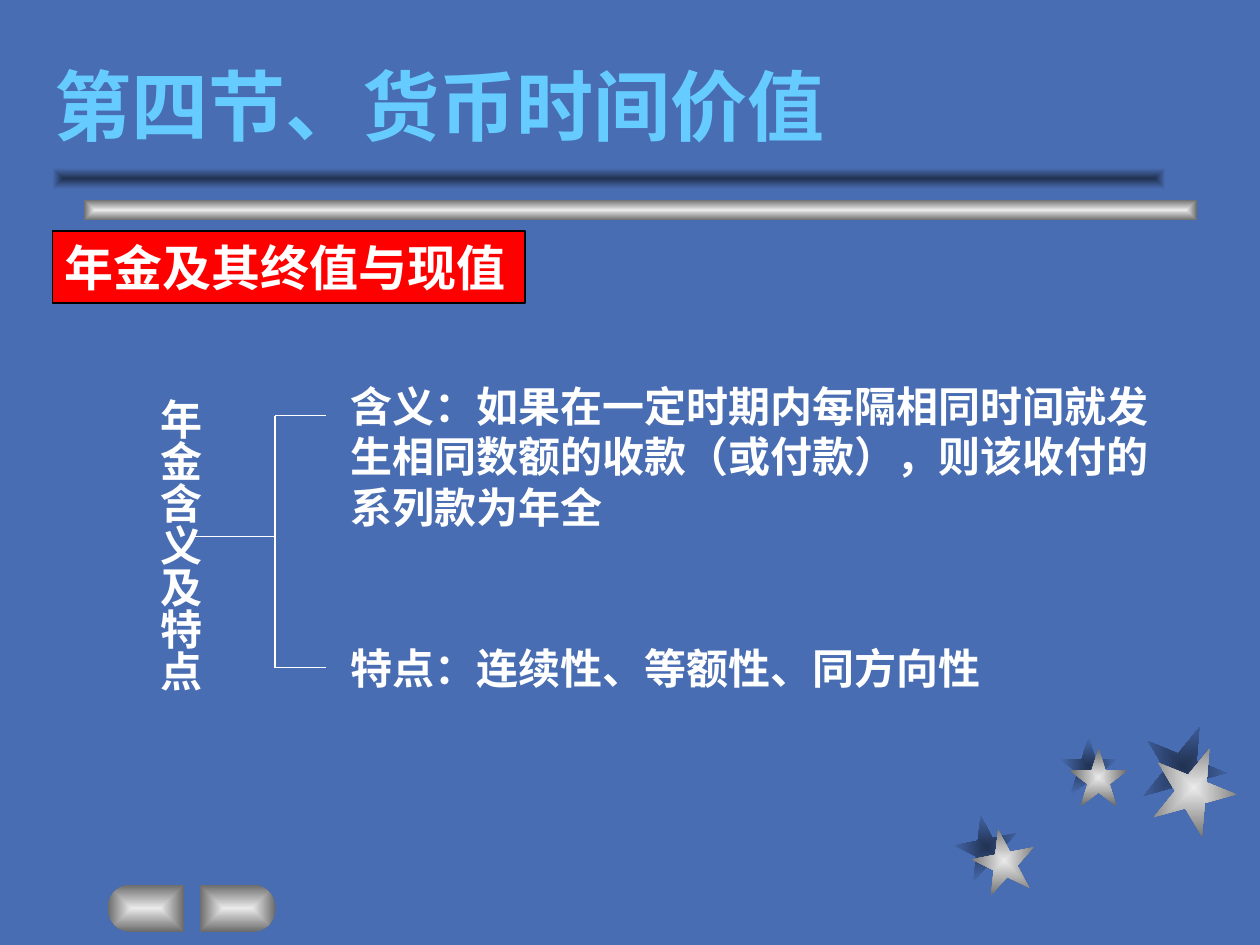
import math
import pptx
import pptx.util
import pptx.oxml
import pptx.oxml.ns
import pptx.dml.color
import pptx.enum.shapes
import pptx.enum.text

Pt = pptx.util.Pt
KIND = pptx.enum.shapes.MSO_SHAPE
ANCHOR = pptx.enum.text.MSO_ANCHOR
LEFT = pptx.enum.text.PP_ALIGN.LEFT
FONT = "Noto Sans CJK SC"
HUES = {"back": "496DB2", "shade": "213252", "light": "EAEAEA", "gray": "6B6B6B",
        "title": "66CCFF", "red": "FF0000", "black": "000000", "white": "FFFFFF"}
METAL = ("light", "gray")
SHADE = ("shade", "back")


def color(name):
    return pptx.dml.color.RGBColor.from_string(HUES[name])


def glow(shape, pair):
    """Fill a shape with a gradient from its centre to its edges."""
    shape.shadow.inherit = False
    shape.line.fill.background()
    shape.fill.background()
    stops = "".join(f'<a:gs pos="{pos}"><a:srgbClr val="{HUES[name]}"/></a:gs>'
                    for pos, name in zip((0, 100000), pair))
    grad = pptx.oxml.parse_xml(
        f'<a:gradFill {pptx.oxml.ns.nsdecls("a")} rotWithShape="1"><a:gsLst>{stops}</a:gsLst>'
        '<a:path path="rect"><a:fillToRect l="50000" t="50000" r="50000" b="50000"/>'
        '</a:path></a:gradFill>')
    props = shape._element.spPr
    props.replace(props.find(pptx.oxml.ns.qn("a:noFill")), grad)


def form(slide, kind, box, pair, turn=0):
    shape = slide.shapes.add_shape(kind, *map(Pt, box))
    shape.rotation = turn
    glow(shape, pair)


def write(shape, text, size, hue="white", wrap=True, anchor=ANCHOR.TOP):
    frame = shape.text_frame
    frame.word_wrap = wrap
    frame.auto_size = pptx.enum.text.MSO_AUTO_SIZE.NONE
    frame.vertical_anchor = anchor
    para = frame.paragraphs[0]
    para.alignment = LEFT
    run = para.add_run()
    run.text = text
    font = run.font
    font.name, font.size, font.bold = FONT, Pt(size), True
    font.color.rgb = color(hue)
    face = pptx.oxml.parse_xml(
        f'<a:ea {pptx.oxml.ns.nsdecls("a")} typeface="{FONT}"/>')
    run._r.get_or_add_rPr().find(pptx.oxml.ns.qn("a:latin")).addnext(face)


def label(slide, box, text, wrap=True):
    shape = slide.shapes.add_textbox(*map(Pt, box))
    write(shape, text, 24, wrap=wrap)
    return shape


def line(slide, ends, width):
    link = slide.shapes.add_connector(
        pptx.enum.shapes.MSO_CONNECTOR.STRAIGHT, *map(Pt, ends))
    link.line.color.rgb = color("white")
    link.line.width = Pt(width)
    link._element.spPr.append(
        pptx.oxml.parse_xml(f'<a:effectLst {pptx.oxml.ns.nsdecls("a")}/>'))


def stars(slide, box):
    left, top = box
    # shadow x, y; face x, y; size; turn
    group = [(0, 51.8, 10, 59.8, 36, 349),
             (59.8, 7.2, 65.5, 13.7, 33, 0),
             (106.6, 0, 112.3, 12.2, 48, 22)]
    for pair, at in ((SHADE, 0), (METAL, 2)):
        for star in group:
            x, y = star[at:at + 2]
            size, turn = star[4:]
            form(slide, KIND.STAR_5_POINT, (left + x, top + y, size, size), pair, turn)


def bars(slide, box):
    left, top, width, height = box
    form(slide, KIND.RECTANGLE, (left + 18, top + 18, width, height), METAL)
    form(slide, KIND.RECTANGLE, box, SHADE)


def button(slide, box, side):
    """Draw a button with one round end; side is -1 for left, 1 for right."""
    left, top, width, height = box
    rad = height / 2
    flat = left if side > 0 else left + width
    hub = flat + side * (width - rad)
    arc = [(hub + side * rad * math.cos(math.radians(deg)),
            top + rad + rad * math.sin(math.radians(deg)))
           for deg in range(-90, 91, 10)]
    pen = slide.shapes.build_freeform(Pt(flat), Pt(top))
    pen.add_line_segments([(Pt(x), Pt(y)) for x, y in arc + [(flat, top + height)]])
    glow(pen.convert_to_shape(), METAL)


def title(slide, box):
    shape = slide.shapes.title
    shape.left, shape.top, shape.width, shape.height = map(Pt, box)
    write(shape, "第四节、货币时间价值", 44, "title", anchor=ANCHOR.BOTTOM)


def banner(slide, box):
    shape = slide.shapes.add_shape(KIND.RECTANGLE, *map(Pt, box))
    shape.shadow.inherit = False
    shape.fill.solid()
    shape.fill.fore_color.rgb = color("red")
    shape.line.color.rgb = color("black")
    shape.line.width = Pt(1)
    write(shape, "年金及其终值与现值", 28)


def tree(slide, box):
    left, top, width, height = box
    # Root in vertical text
    root = label(slide, (left, top + 6.5, 43.2, 180.7), "年金含义及特点", wrap=False)
    frame = root.text_frame
    frame.margin_left = frame.margin_right = Pt(3.6)
    frame.margin_top = frame.margin_bottom = Pt(7.2)
    frame._txBody.bodyPr.set("vert", "eaVert")
    # Bracket
    stem, high, low = left + 79.2, top + 23.8, top + 167.8
    line(slide, (left + 31, top + 92.9, stem, top + 92.9), 0.75)
    line(slide, (stem, high, stem, low), 1)
    for y in (high, low):
        line(slide, (stem, y, stem + 29.5, y), 0.75)
    # Branches
    x = left + 115.2
    wide = width - 115.2
    label(slide, (x, top, wide, 93.6),
          "含义：如果在一定时期内每隔相同时间就发生相同数额的收款（或付款），则该收付的系列款为年全")
    label(slide, (x, top + height - 36, wide, 36), "特点：连续性、等额性、同方向性")


def main():
    deck = pptx.Presentation()
    deck.slide_width, deck.slide_height = Pt(720), Pt(540)
    slide = deck.slides.add_slide(deck.slide_layouts[5])
    slide.background.fill.solid()
    slide.background.fill.fore_color.rgb = color("back")
    # Decoration
    stars(slide, (545.8, 414))
    bars(slide, (30, 96, 636, 12))
    button(slide, (61.5, 505.5, 43.5, 27), -1)
    button(slide, (114, 505.5, 43.5, 27), 1)
    # Content
    title(slide, (24, 36, 678, 54))
    banner(slide, (30, 132, 270, 41))
    tree(slide, (77.8, 213.8, 600.5, 185.8))
    deck.save("out.pptx")


if __name__ == "__main__":
    main()
